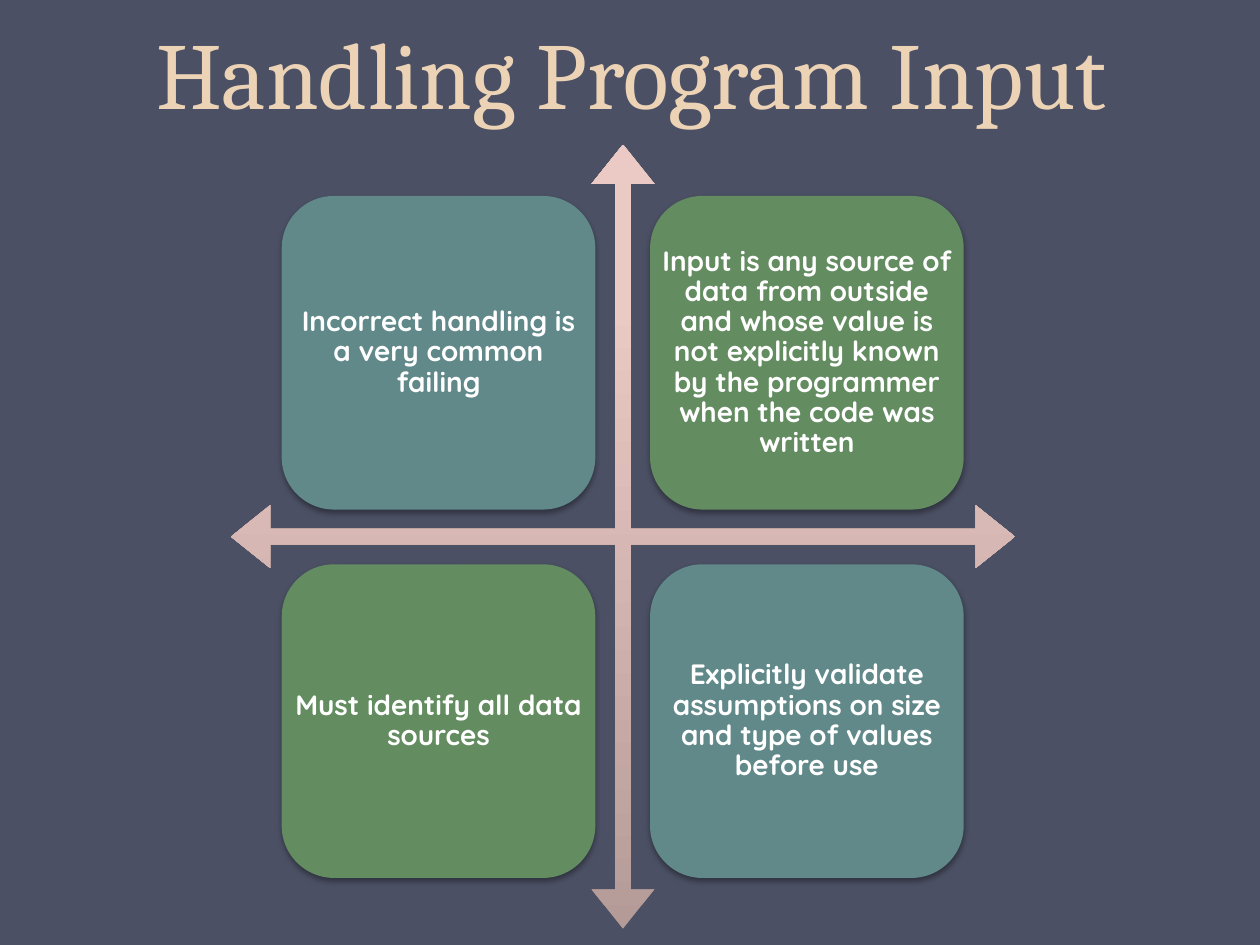
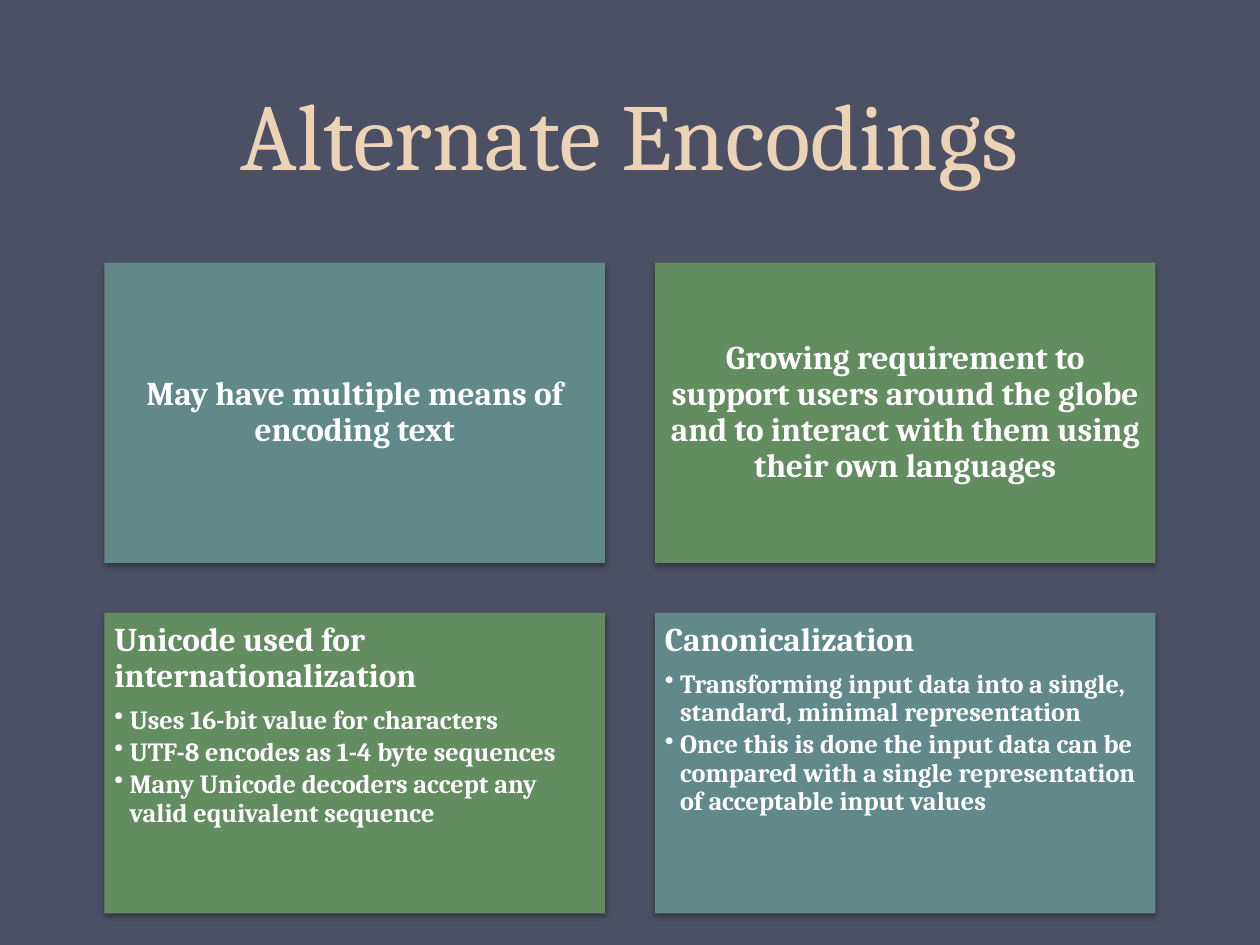
import lxml.etree
import pptx
import pptx.dml.color
import pptx.enum.shapes
import pptx.enum.text
import pptx.oxml.ns
import pptx.util

Pt = pptx.util.Pt
RGB = pptx.dml.color.RGBColor.from_string
qn = pptx.oxml.ns.qn
ALIGN = pptx.enum.text.PP_ALIGN
ANCHOR = pptx.enum.text.MSO_ANCHOR
FORM = pptx.enum.shapes.MSO_SHAPE


class Theme:
    back, title, text = RGB("4B5064"), RGB("EDD3B6"), RGB("FFFFFF")
    teal, green = RGB("61898A"), RGB("648C61")
    low, high = RGB("B59B97"), RGB("EBC9C5")
    serif, sans = "Cambria", "Quicksand"
    big, head, note, point = 54, 19, 16, 15


def write(slide, area, lines, font, size, color, anchor, align):
    """Add a text box; the first line is the heading, the rest are bullets."""
    box = slide.shapes.add_textbox(*map(Pt, area))
    frame = box.text_frame
    frame.word_wrap = True
    frame.vertical_anchor = anchor
    for i, line in enumerate(lines):
        para = frame.paragraphs[0] if i == 0 else frame.add_paragraph()
        scale = size if i == 0 else Theme.point
        para.alignment = align
        para.line_spacing = 0.9
        para.space_after = Pt(scale * (0.35 if i == 0 else 0.15))
        if i > 0:
            para.level = 1
            props = para._p.get_or_add_pPr()
            props.set("marL", str(Pt(8.64)))
            props.set("indent", str(-Pt(8.64)))
            lxml.etree.SubElement(props, qn("a:buChar"), char="•")
        run = para.add_run()
        run.text = line
        run.font.name = font
        run.font.size = Pt(scale)
        run.font.color.rgb = color
        run.font.bold = color == Theme.text
    return frame


def card(slide, form, area, fill, lines, font, size, pad):
    """Add a filled card with a soft shadow and its text on top."""
    tile = slide.shapes.add_shape(form, *map(Pt, area))
    tile.fill.solid()
    tile.fill.fore_color.rgb = fill
    tile.line.fill.background()
    tile.shadow.inherit = False
    glow = lxml.etree.SubElement(
        tile._element.spPr.find(qn("a:effectLst")), qn("a:outerShdw"),
        blurRad=str(Pt(3.1)), dist=str(Pt(1.8)), dir="5400000", rotWithShape="0")
    tint = lxml.etree.SubElement(glow, qn("a:srgbClr"), val="000000")
    lxml.etree.SubElement(tint, qn("a:alpha"), val="35000")
    listed = len(lines) > 1
    frame = write(slide, area, lines, font, size, Theme.text,
                  ANCHOR.TOP if listed else ANCHOR.MIDDLE,
                  ALIGN.LEFT if listed else ALIGN.CENTER)
    frame.margin_left = frame.margin_right = Pt(pad)
    frame.margin_top = frame.margin_bottom = Pt(pad)


deck = pptx.Presentation()
deck.slide_width, deck.slide_height = Pt(720), Pt(540)

# Backgrounds and titles
pages = []
for title, area in [("Handling Program Input", (36.7, -41.8, 648, 118.8)),
                    ("Alternate Encodings", (36, 0, 648, 111.6))]:
    page = deck.slides.add_slide(deck.slide_layouts[6])
    page.background.fill.solid()
    page.background.fill.fore_color.rgb = Theme.back
    frame = write(page, area, [title], Theme.serif, Theme.big, Theme.title,
                  ANCHOR.BOTTOM, ALIGN.CENTER)
    frame.paragraphs[0].line_spacing = Pt(58)
    frame.paragraphs[0].space_after = Pt(0)
    pages.append(page)
first, second = pages

# Four-way arrow behind the first grid
cross = first.shapes.add_shape(FORM.QUAD_ARROW, Pt(132), Pt(82.7), Pt(448), Pt(448))
for i, part in enumerate([0.02, 0.04, 0.05]):
    cross.adjustments[i] = part
cross.fill.gradient()
cross.fill.gradient_angle = 90
for stop, color, place in zip(cross.fill.gradient_stops,
                              [Theme.low, Theme.high], [0, 0.8]):
    stop.color.rgb = color
    stop.position = place
cross.line.fill.background()
cross.shadow.inherit = False

# Card texts, row by row
inputs = [
    ["Incorrect handling is a very common failing"],
    ["Input is any source of data from outside and whose value is not "
     "explicitly known by the programmer when the code was written"],
    ["Must identify all data sources"],
    ["Explicitly validate assumptions on size and type of values before use"],
]
codes = [
    ["May have multiple means of encoding text"],
    ["Growing requirement to support users around the globe and to interact "
     "with them using their own languages"],
    ["Unicode used for internationalization",
     "Uses 16-bit value for characters",
     "UTF-8 encodes as 1-4 byte sequences",
     "Many Unicode decoders accept any valid equivalent sequence"],
    ["Canonicalization",
     "Transforming input data into a single, standard, minimal representation",
     "Once this is done the input data can be compared with a single "
     "representation of acceptable input values"],
]

# Two-by-two grids with the colours crossing over
fills = [Theme.teal, Theme.green, Theme.green, Theme.teal]
for i, fill in enumerate(fills):
    row, col = divmod(i, 2)
    card(first, FORM.ROUNDED_RECTANGLE,
         (161 + 210.5 * col, 112 + 210.5 * row, 179.2, 179.2),
         fill, inputs[i], Theme.sans, Theme.note, 4.8)
    card(second, FORM.RECTANGLE,
         (59.7 + 314.6 * col, 150.1 + 200.2 * row, 286, 171.6),
         fill, codes[i], Theme.serif, Theme.head, 5.7)

deck.save("out.pptx")
